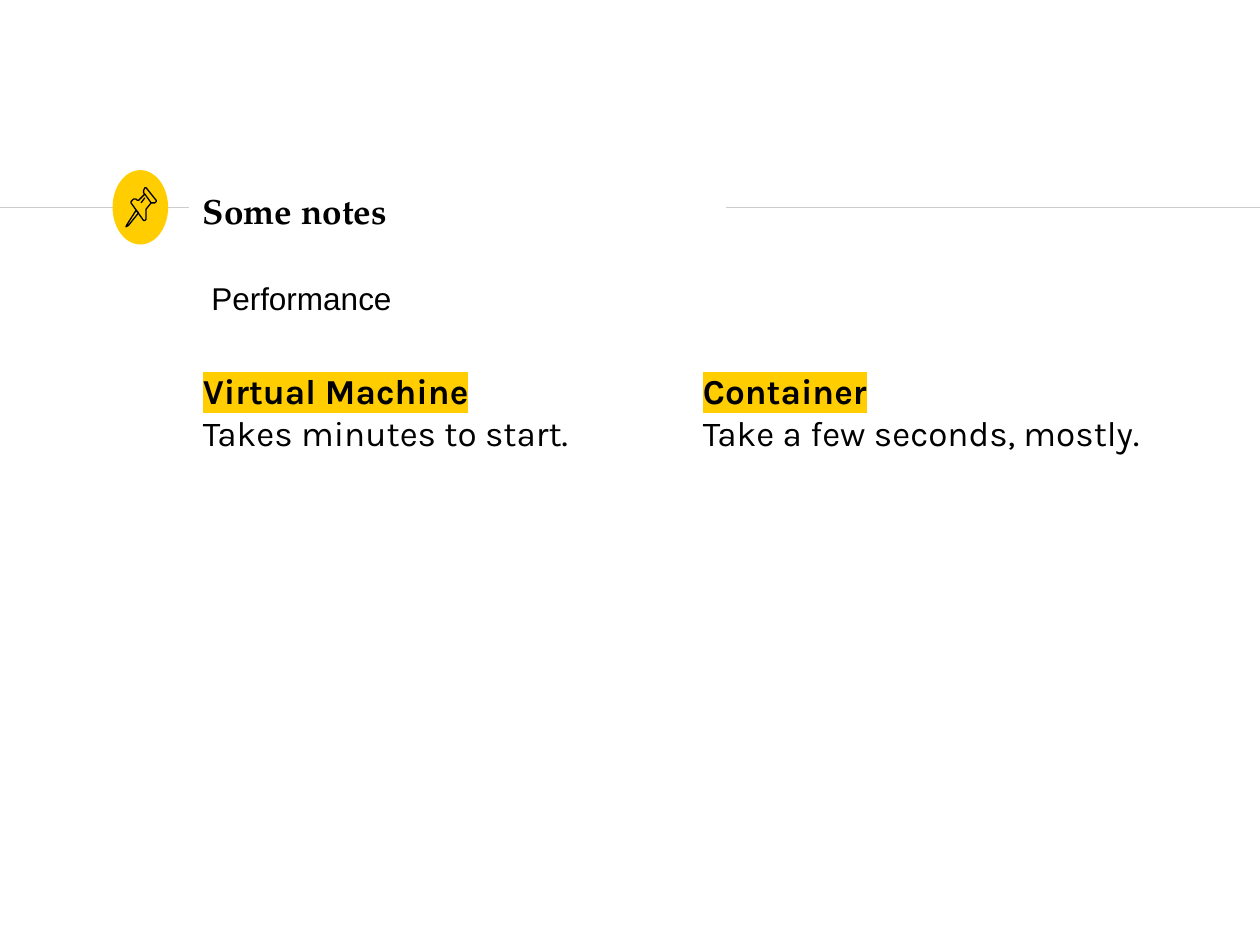
import pptx
import pptx.dml.color
import pptx.enum.shapes
import pptx.enum.text
import pptx.oxml.ns
import pptx.util
from lxml import etree

Cm = pptx.util.Cm
Pt = pptx.util.Pt
BLACK, YELLOW, GREY = "000000", "FFCD00", "CCCCCC"

TITLE = "Some notes"
SUBTITLE = "Performance"
COLUMNS = [
    ("Virtual Machine", "Takes minutes to start."),
    ("Container", "Take a few seconds, mostly."),
]
COL_LEFT, COL_STEP, COL_TOP, COL_W, COL_H = 3.84, 10.08, 7.19, 9.53, 11.96
RULE_Y = 4.19
RULES = [(0, 3.81), (14.63, 25.4)]

PIN_UNIT = Cm(2.54) / 100
PIN = [
    ([(108, 167), (101, 178), (100, 180), (102, 179), (110, 169)], True),
    ([(115, 154), (120, 161), (122, 161), (123, 161), (124, 160), (124, 159),
      (116, 149), (115, 149), (114, 151), (114, 153)], True),
    ([(115, 154), (110, 159), (109, 159), (108, 158), (106, 158), (104, 159.5),
      (104, 161), (114, 175), (115, 175), (116, 174), (116, 166), (120, 161)], False),
    ([(112, 161), (115, 157)], False),
]


def rgb(value):
    return pptx.dml.color.RGBColor.from_string(value)


def add_run(p, text, font, size, bold=False, highlight=None):
    r = p.add_run()
    r.text = text
    r.font.size = Pt(size)
    r.font.bold = bold
    r.font.color.rgb = rgb(BLACK)
    r.font.name = font
    if highlight:
        qn = pptx.oxml.ns.qn
        mark = etree.Element(qn("a:highlight"))
        etree.SubElement(mark, qn("a:srgbClr"), val=highlight)
        r.font.fill
        r._r.rPr.find(qn("a:latin")).addprevious(mark)


def set_frame(tf, inset=0.25, wrap=True):
    tf.word_wrap = wrap
    tf.auto_size = pptx.enum.text.MSO_AUTO_SIZE.NONE
    tf.margin_left = tf.margin_right = tf.margin_top = tf.margin_bottom = Cm(inset)


def add_rule(s, x1, x2):
    line = s.shapes.add_connector(
        pptx.enum.shapes.MSO_CONNECTOR.STRAIGHT, Cm(x1), Cm(RULE_Y), Cm(x2), Cm(RULE_Y))
    line.line.color.rgb = rgb(GREY)
    line.line.width = Pt(0.75)
    etree.SubElement(line._element.spPr, pptx.oxml.ns.qn("a:effectLst"))


def add_pin(s):
    group = s.shapes.add_group_shape()
    for points, closed in PIN:
        builder = group.shapes.build_freeform(*points[0], scale=PIN_UNIT)
        builder.add_line_segments(points[1:], close=closed)
        sp = builder.convert_to_shape()
        sp.shadow.inherit = False
        sp.fill.background()
        sp.line.color.rgb = rgb(BLACK)
        sp.line.width = Pt(0.75)


def main():
    prs = pptx.Presentation()
    prs.slide_width, prs.slide_height = Cm(25.4), Cm(19.05)
    s = prs.slides.add_slide(prs.slide_layouts[5])

    for x1, x2 in RULES:
        add_rule(s, x1, x2)

    badge = s.shapes.add_shape(
        pptx.enum.shapes.MSO_SHAPE.OVAL, Cm(2.27), Cm(3.43), Cm(1.12), Cm(1.5))
    badge.shadow.inherit = False
    badge.fill.solid()
    badge.fill.fore_color.rgb = rgb(YELLOW)
    badge.line.fill.background()
    add_pin(s)

    title = s.shapes.title
    title.left, title.top, title.width, title.height = Cm(3.84), Cm(3.43), Cm(10.77), Cm(1.63)
    tf = title.text_frame
    set_frame(tf)
    tf.vertical_anchor = pptx.enum.text.MSO_ANCHOR.MIDDLE
    tf.paragraphs[0].alignment = pptx.enum.text.PP_ALIGN.LEFT
    add_run(tf.paragraphs[0], TITLE, "TeX Gyre Pagella", 20, bold=True)

    for i, (heading, body) in enumerate(COLUMNS):
        sp = s.shapes.add_textbox(
            Cm(COL_LEFT + i * COL_STEP), Cm(COL_TOP), Cm(COL_W), Cm(COL_H))
        tf = sp.text_frame
        set_frame(tf)
        add_run(tf.paragraphs[0], heading, "Karla", 20, bold=True, highlight=YELLOW)
        add_run(tf.add_paragraph(), body, "Karla", 20)

    sp = s.shapes.add_textbox(Cm(4.01), Cm(5.51), Cm(4.19), Cm(1.02))
    tf = sp.text_frame
    tf.word_wrap = False
    tf.auto_size = pptx.enum.text.MSO_AUTO_SIZE.SHAPE_TO_FIT_TEXT
    add_run(tf.paragraphs[0], SUBTITLE, "Arial", 18)

    prs.save("out.pptx")


if __name__ == "__main__":
    main()
